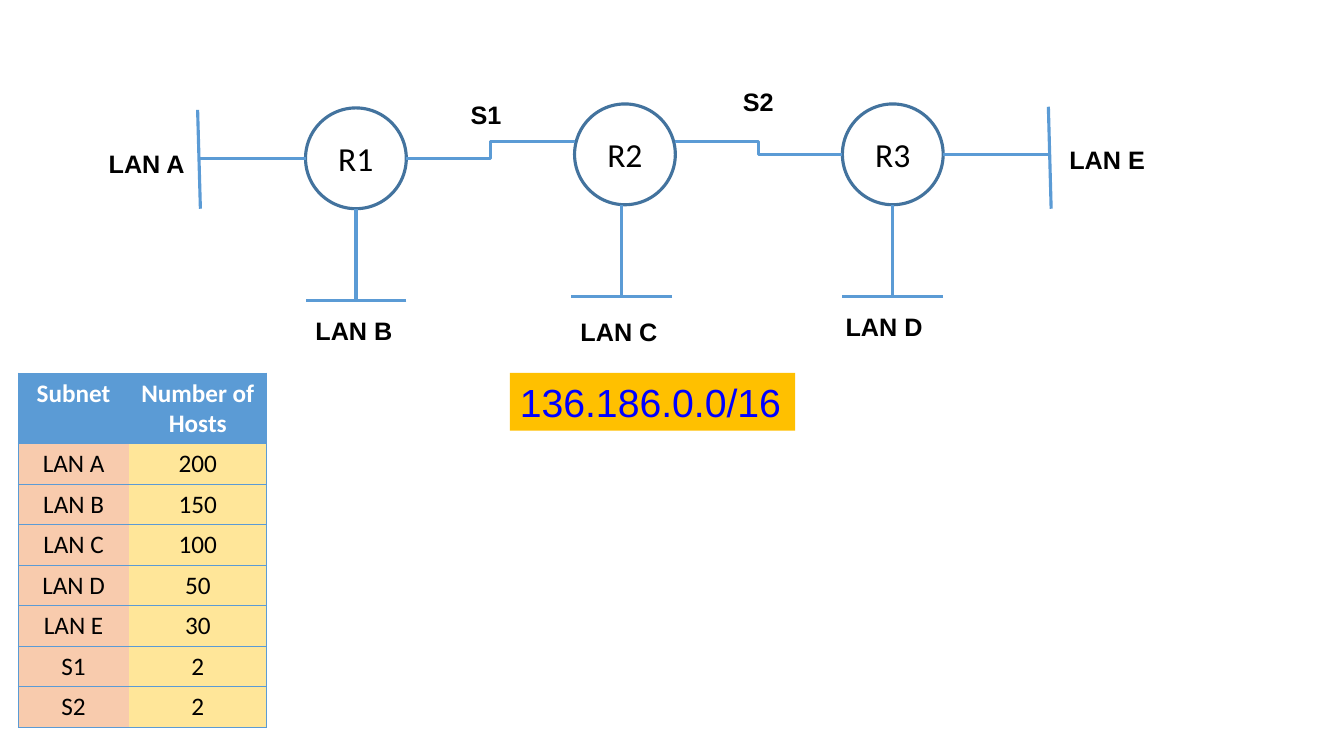
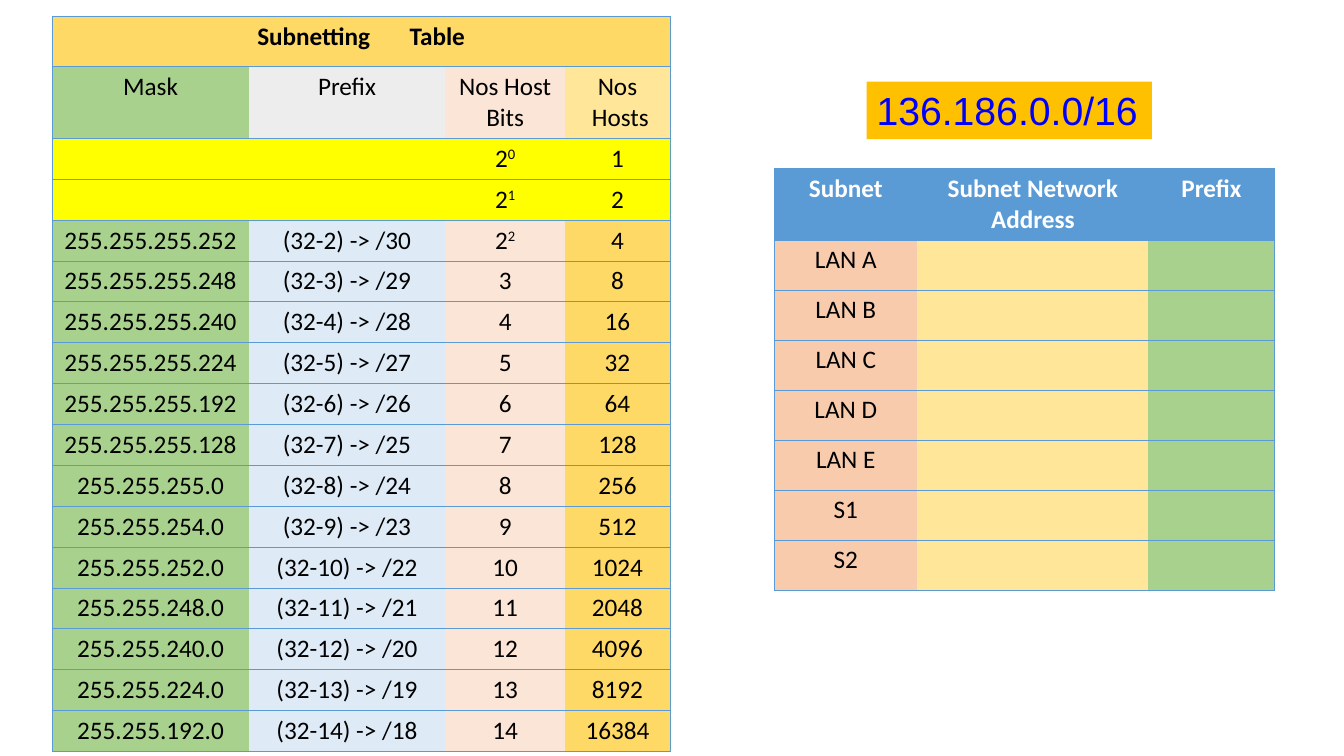
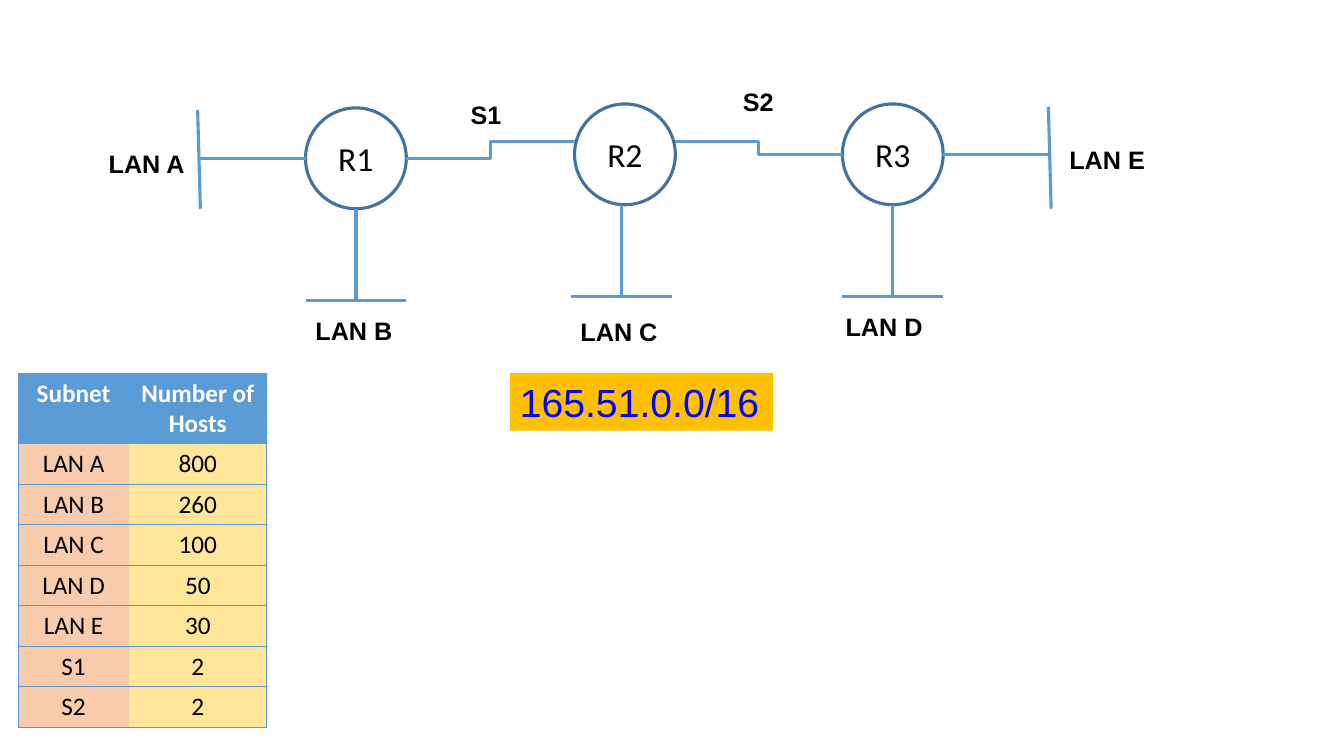
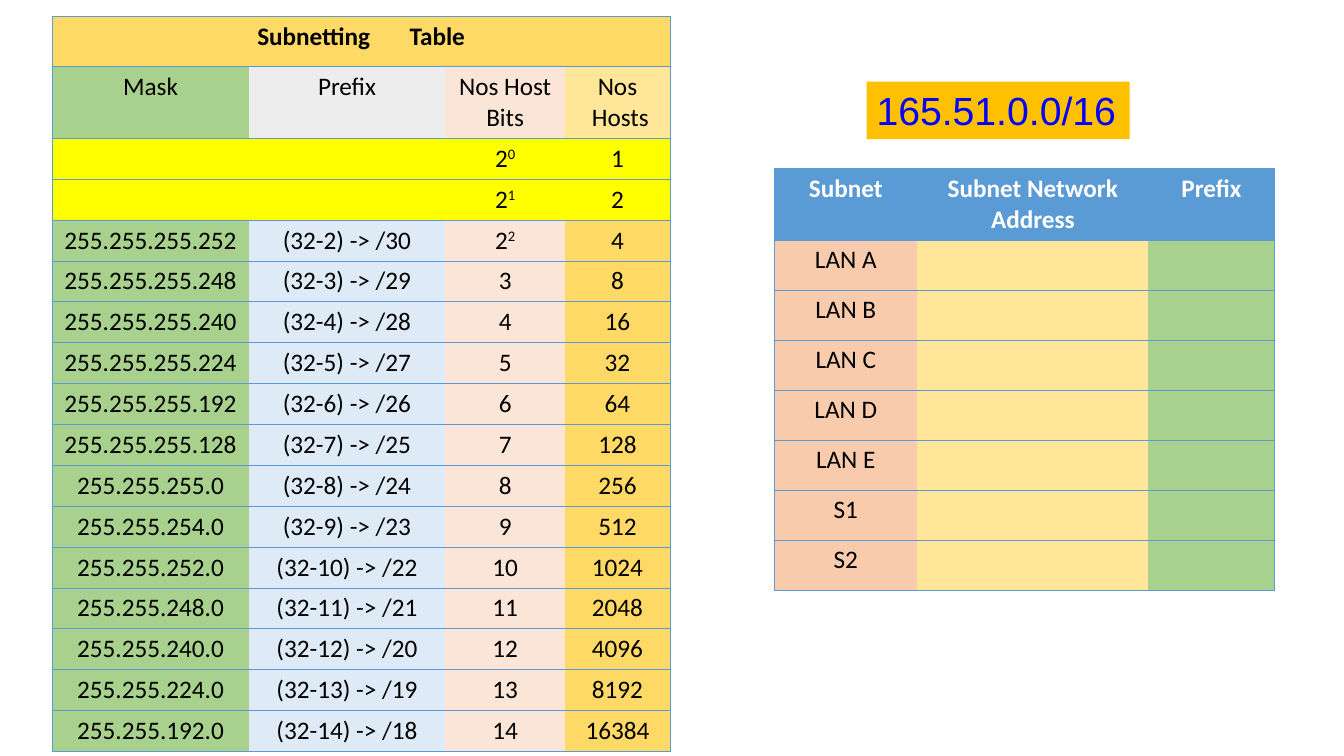
"""Build two subnetting exercises, each a network diagram and a worksheet."""
from lxml.etree import SubElement
from pptx import Presentation
from pptx.dml.color import RGBColor
from pptx.enum.shapes import MSO_CONNECTOR, MSO_SHAPE
from pptx.enum.text import MSO_ANCHOR, PP_ALIGN
from pptx.oxml.ns import qn
from pptx.util import Cm, Pt

COLORS = {
    "line": "5B9BD5", "ring": "43739E", "header": "5B9BD5", "white": "FFFFFF",
    "black": "000000", "network": "0000FF", "amber": "FFC000", "peach": "F8CBAD",
    "cream": "FFE699", "gold": "FFD966", "green": "A9D18E", "gray": "EDEDED",
    "rose": "FBE5D6", "sky": "DEEBF7", "yellow": "FFFF00",
}
NO_STYLE = "{2D5ABB26-0587-4C30-8999-92F81FD0307C}"

SUBNETS = ["LAN A", "LAN B", "LAN C", "LAN D", "LAN E", "S1", "S2"]
EXERCISES = [
    {"network": "136.186.0.0/16", "width": 7.19, "hosts": [200, 150, 100, 50, 30, 2, 2]},
    {"network": "165.51.0.0/16", "width": 6.63, "hosts": [800, 260, 100, 50, 30, 2, 2]},
]

RADIUS = 1.27
ROUTERS = {"R1": (8.97, 3.99), "R2": (15.75, 3.89), "R3": (22.5, 3.89)}
SERIAL_LINKS = [(10.24, 3.99, 14.48, 3.56), (17.02, 3.56, 21.23, 3.89)]
LAN_DROPS = [(8.97, 5.26), (15.67, 5.16), (22.5, 5.16)]
DROP_LENGTH = 2.31
SIDE_LANS = [
    (7.7, 3.99, 5.05, 3.99), (5.05, 5.26, 4.98, 2.77),
    (23.77, 3.89, 26.44, 3.89), (26.49, 5.26, 26.42, 2.69),
]
LABELS = {
    "LAN A": (2.49, 3.61), "LAN B": (7.7, 7.82), "LAN C": (14.38, 7.85),
    "LAN D": (21.06, 7.72), "LAN E": (26.7, 3.51), "S1": (11.61, 2.39), "S2": (18.47, 2.06),
}

MASK_TITLE = [("Subnetting", {}), (" ", {"spc": "2400"}), ("Table", {})]
MASK_HEADINGS = ["Mask", "Prefix", "Nos Host\nBits", "Nos\n Hosts"]
MASK_HEADING_FILLS = ["green", "gray", "rose", "cream"]
MASK_FILLS = ["green", "sky", "rose", "gold"]
MAX_HOST_BITS = 14


def rgb(name):
    return RGBColor.from_string(COLORS[name])


def set_font(paragraph, size, color, bold=False, face="Calibri"):
    font = paragraph.font
    font.size, font.bold, font.name = Pt(size), bold, face
    font.color.rgb = rgb(color)


def add_line(slide, ends, kind=MSO_CONNECTOR.STRAIGHT):
    line = slide.shapes.add_connector(kind, *map(Cm, ends))
    line.line.color.rgb = rgb("line")
    line.line.width = Pt(2.25)
    SubElement(line._element.spPr, qn("a:effectLst"))


def add_router(slide, name, center):
    left, top = (position - RADIUS for position in center)
    router = slide.shapes.add_shape(
        MSO_SHAPE.OVAL, Cm(left), Cm(top), Cm(2 * RADIUS), Cm(2 * RADIUS))
    router.shadow.inherit = False
    router.fill.background()
    router.line.color.rgb = rgb("ring")
    router.line.width = Pt(2.25)
    frame = router.text_frame
    frame.word_wrap = False
    frame.vertical_anchor = MSO_ANCHOR.MIDDLE
    frame.text = name
    frame.paragraphs[0].alignment = PP_ALIGN.CENTER
    set_font(frame.paragraphs[0], 24, "black")


def add_label(slide, text, box, size=18, color="black", bold=True, fill=None):
    label = slide.shapes.add_textbox(*map(Cm, box))
    if fill:
        label.fill.solid()
        label.fill.fore_color.rgb = rgb(fill)
    label.text_frame.word_wrap = False
    label.text_frame.text = text
    set_font(label.text_frame.paragraphs[0], size, color, bold, "Arial")


def add_network(slide, exercise, left, top):
    add_label(slide, exercise["network"], (left, top, exercise["width"], 1.45),
              28, "network", False, "amber")


def set_borders(cell, first, last):
    properties = cell._tc.get_or_add_tcPr()
    sides = [("L", first), ("R", last), ("T", True), ("B", True)]
    for position, (side, visible) in enumerate(sides):
        border = properties.makeelement(qn(f"a:ln{side}"), {"w": str(Pt(0.5))})
        if visible:
            solid = SubElement(border, qn("a:solidFill"))
            SubElement(solid, qn("a:srgbClr")).set("val", COLORS["line"])
        else:
            SubElement(border, qn("a:noFill"))
        properties.insert(position, border)


def write_cell(cell, content, color, bold):
    frame = cell.text_frame
    if isinstance(content, list):
        for text, attributes in content:
            run = frame.paragraphs[0].add_run()
            run.text = text
            for key, value in attributes.items():
                run._r.get_or_add_rPr().set(key, value)
    else:
        frame.text = content
    for paragraph in frame.paragraphs:
        paragraph.alignment = PP_ALIGN.CENTER
        set_font(paragraph, 18, color, bold)


def add_grid(slide, left, top, widths, heights, rows):
    """Draw rows given as (contents, fills, text colour, bold)."""
    grid = slide.shapes.add_table(
        len(rows), len(widths), Cm(left), Cm(top), Cm(sum(widths)), Cm(sum(heights))).table
    grid._tbl.tblPr.find(qn("a:tableStyleId")).text = NO_STYLE
    for column, width in zip(grid.columns, widths):
        column.width = Cm(width)
    for row_index, (contents, fills, color, bold) in enumerate(rows):
        grid.rows[row_index].height = Cm(heights[row_index])
        if len(contents) == 1:
            grid.cell(row_index, 0).merge(grid.cell(row_index, len(widths) - 1))
        for column_index, content in enumerate(contents):
            cell = grid.cell(row_index, column_index)
            cell.fill.solid()
            cell.fill.fore_color.rgb = rgb(fills[column_index])
            set_borders(cell, column_index == 0, column_index == len(contents) - 1)
            if content:
                write_cell(cell, content, color, bold)


def add_subnet_grid(slide, left, top, widths, heights, headings, fills, answers):
    rows = [(headings, ["header"] * len(headings), "white", True)]
    rows += [([subnet, *answer], fills, "black", False)
             for subnet, answer in zip(SUBNETS, answers)]
    header, body = heights
    add_grid(slide, left, top, widths, [header] + [body] * len(SUBNETS), rows)


def mask_row(bits):
    address = 2 ** 32 - 2 ** bits
    mask = ".".join(str(address >> shift & 255) for shift in (24, 16, 8, 0))
    prefix = f"(32-{bits}) -> /{32 - bits}"
    power = [("2", {}), (str(bits), {"baseline": "30000"})] if bits <= 2 else str(bits)
    if bits < 2:
        return ["", "", power, str(2 ** bits)], ["yellow"] * 4, "black", False
    return [mask, prefix, power, str(2 ** bits)], MASK_FILLS, "black", False


def add_diagram_slide(slide, exercise):
    for name, center in ROUTERS.items():
        add_router(slide, name, center)
    for ends in SERIAL_LINKS:
        add_line(slide, ends, MSO_CONNECTOR.ELBOW)
    for x, y in LAN_DROPS:
        bottom = y + DROP_LENGTH
        add_line(slide, (x, y, x, bottom))
        add_line(slide, (x + RADIUS, bottom, x - RADIUS, bottom))
    for ends in SIDE_LANS:
        add_line(slide, ends)
    for text, (left, top) in LABELS.items():
        add_label(slide, text, (left, top, 2.44 if "LAN" in text else 1.3, 1.02))
    add_subnet_grid(slide, 0.46, 9.4, [2.79, 3.47], (1.77, 1.02),
                    ["Subnet", "Number of Hosts"], ["peach", "cream"],
                    [[str(count)] for count in exercise["hosts"]])
    add_network(slide, exercise, 12.85, 9.4)


def add_worksheet_slide(slide, exercise):
    rows = [([MASK_TITLE], ["gold"], "black", True),
            (MASK_HEADINGS, MASK_HEADING_FILLS, "black", False)]
    rows += [mask_row(bits) for bits in range(MAX_HOST_BITS + 1)]
    add_grid(slide, 1.32, 0.41, [4.95, 4.95, 3.02, 2.64],
             [1.27, 1.78] + [1.03] * (MAX_HOST_BITS + 1), rows)
    add_subnet_grid(slide, 19.51, 4.24, [3.61, 5.82, 3.18], (1.78, 1.26),
                    ["Subnet", "Subnet Network Address", "Prefix"],
                    ["peach", "cream", "green"], [["", ""]] * len(SUBNETS))
    add_network(slide, exercise, 21.84, 2.06)


def main():
    deck = Presentation()
    deck.slide_width, deck.slide_height = Cm(33.87), Cm(19.05)
    blank = deck.slide_layouts[6]
    for exercise in EXERCISES:
        add_diagram_slide(deck.slides.add_slide(blank), exercise)
        add_worksheet_slide(deck.slides.add_slide(blank), exercise)
    deck.save("out.pptx")


if __name__ == "__main__":
    main()
